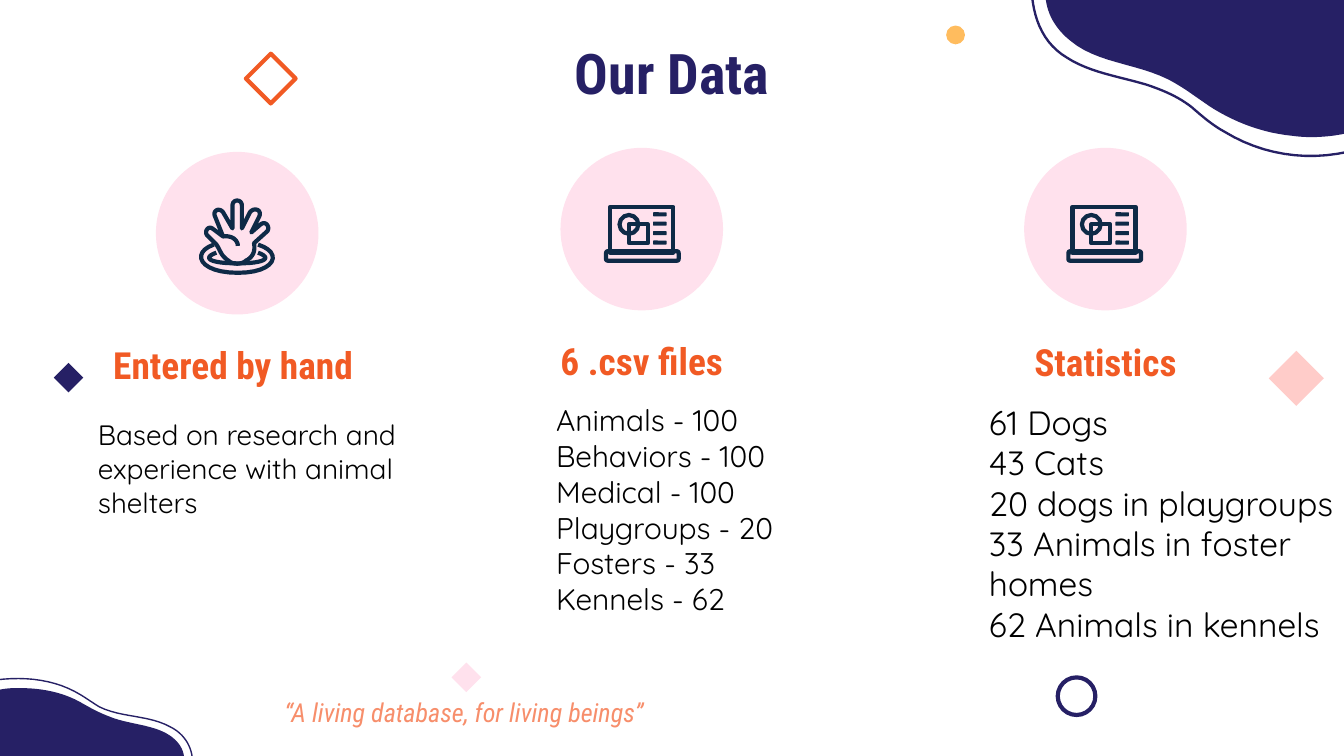
import pptx
import pptx.util
import pptx.dml.color
import pptx.enum.shapes
import pptx.enum.text

Inches = pptx.util.Inches
Pt = pptx.util.Pt
Shape = pptx.enum.shapes.MSO_SHAPE
Align = pptx.enum.text.PP_ALIGN
Anchor = pptx.enum.text.MSO_ANCHOR

HUES = {
    "navy": "262065", "orange": "F15A24", "salmon": "F78E6B", "blush": "FFCCC9",
    "pink": "FFE1ED", "amber": "FFBC5E", "ink": "0E2A47", "black": "000000",
}
HEAD, BODY = "Roboto Condensed", "Quicksand"

deck = pptx.Presentation()
deck.slide_width = Inches(10)
deck.slide_height = Inches(10) * 9 // 16
slide = deck.slides.add_slide(deck.slide_layouts[6])
shapes = slide.shapes


def draw(kind, box, fill=None, line=None, width=2.25):
    """Add a preset shape, or a freeform if kind is None.

    A freeform's box lists its points: pairs are corners, sixes are Bezier curves.
    """
    if kind is None:
        dots = [box[0]]
        for step in box[1:]:
            if len(step) == 2:
                dots.append(step)
                continue
            (a, b), (c, d, e, f, g, h) = dots[-1], step
            for i in range(1, 13):
                t = i / 12
                u = 1 - t
                dots.append(tuple(
                    u**3 * p + 3 * u * u * t * q + 3 * u * t * t * r + t**3 * s
                    for p, q, r, s in ((a, c, e, g), (b, d, f, h))))
        dots = [(Inches(x), Inches(y)) for x, y in dots]
        pen = shapes.build_freeform(*dots[0])
        pen.add_line_segments(dots[1:], close=fill is not None)
        form = pen.convert_to_shape()
    else:
        form = shapes.add_shape(kind, *map(Inches, box))
    form.shadow.inherit = False
    if fill:
        form.fill.solid()
        form.fill.fore_color.rgb = pptx.dml.color.RGBColor.from_string(HUES[fill])
    else:
        form.fill.background()
    if line:
        form.line.color.rgb = pptx.dml.color.RGBColor.from_string(HUES[line])
        form.line.width = Pt(width)
    else:
        form.line.fill.background()


def write(text, box, size, hue, face=HEAD, align=Align.CENTER,
          anchor=Anchor.MIDDLE, bold=False, italic=False):
    frame = shapes.add_textbox(*map(Inches, box)).text_frame
    frame.word_wrap = True
    frame.vertical_anchor = anchor
    frame.margin_left = frame.margin_right = Inches(0.1)
    frame.margin_top = frame.margin_bottom = Inches(0.1)
    frame.text = text
    for para in frame.paragraphs:
        para.alignment = align
        for run in para.runs:
            font = run.font
            font.name, font.size = face, Pt(size)
            font.bold, font.italic = bold, italic
            font.color.rgb = pptx.dml.color.RGBColor.from_string(HUES[hue])


# Scattered ornaments
draw(Shape.DIAMOND, (9.44, 2.61, 0.41, 0.41), "blush")
draw(Shape.OVAL, (7.87, 5.04, 0.28, 0.28), line="navy")
draw(Shape.DIAMOND, (3.36, 4.93, 0.22, 0.22), "pink")
draw(Shape.OVAL, (7.04, 0.19, 0.14, 0.14), "amber")
draw(Shape.DIAMOND, (0.4, 2.7, 0.22, 0.22), "navy")
draw(Shape.DIAMOND, (1.83, 0.4, 0.37, 0.37), line="orange")

# Corner waves, each with a thin contour
draw(None, [
    (-0.03, 5.63), (-0.03, 5.14), (0.03, 5.12, 0.09, 5.12, 0.15, 5.12),
    (0.31, 5.12, 0.46, 5.15, 0.59, 5.22), (0.66, 5.26, 0.73, 5.3, 0.81, 5.33),
    (0.95, 5.39, 1.14, 5.39, 1.26, 5.47), (1.32, 5.51, 1.36, 5.56, 1.37, 5.63),
], "navy")
draw(None, [
    (-0.03, 5.06), (0.2, 5.03, 0.42, 5.06, 0.6, 5.17),
    (0.65, 5.2, 0.69, 5.23, 0.74, 5.26), (0.9, 5.34, 1.11, 5.32, 1.27, 5.41),
    (1.37, 5.46, 1.42, 5.55, 1.43, 5.63),
], line="navy", width=0.75)
draw(None, [
    (10.03, -0.02), (10.03, 0.99), (9.89, 1.02, 9.75, 1.03, 9.61, 1.01),
    (9.41, 0.99, 9.21, 0.92, 9.03, 0.81), (8.92, 0.74, 8.81, 0.65, 8.69, 0.59),
    (8.45, 0.47, 8.16, 0.47, 7.96, 0.3), (7.85, 0.21, 7.79, 0.1, 7.78, -0.02),
], "navy")
draw(None, [
    (7.68, -0.02), (7.7, 0.16, 7.77, 0.33, 7.94, 0.43),
    (8.11, 0.54, 8.33, 0.57, 8.53, 0.63), (8.65, 0.67, 8.77, 0.72, 8.87, 0.8),
    (8.95, 0.87, 9.02, 0.93, 9.11, 0.98), (9.39, 1.15, 9.71, 1.2, 10.03, 1.13),
], line="navy", width=1.25)

write("Our Data", (0.78, 0.31, 8.44, 0.45), 30, "navy", bold=True)

# Columns: heading, heading left and top, disc left and top,
# body, body box, body size
columns = [
    ("Entered by hand", 0.14, 2.38, 1.16, 1.13,
     "Based on research and experience with animal shelters",
     (0.63, 3.01, 2.55, 0.96), 15),
    ("6 .csv files", 3.18, 2.35, 4.17, 1.1,
     "Animals - 100\nBehaviors - 100\nMedical - 100\n"
     "Playgroups - 20\nFosters - 33\nKennels - 62",
     (4.04, 2.89, 3.1, 1.82), 16),
    ("Statistics", 6.63, 2.36, 7.62, 1.1,
     "61 Dogs\n43 Cats\n20 dogs in playgroups\n"
     "33 Animals in foster homes\n62 Animals in kennels",
     (7.26, 2.89, 3.02, 2.26), 18),
]
for head, left, top, x, y, body, box, size in columns:
    write(head, (left, top, 3.19, 0.66), 20, "orange", bold=True)
    draw(Shape.OVAL, (x, y, 1.21, 1.21), "pink")
    write(body, box, size, "black", BODY, Align.LEFT, Anchor.TOP)

# Hand in a dish
draw(None, [
    (1.77, 1.83), (1.77, 1.79, 1.73, 1.75, 1.66, 1.76), (1.58, 1.7),
    (1.55, 1.68, 1.52, 1.72, 1.54, 1.75), (1.61, 1.82),
    (1.64, 1.86, 1.64, 1.9, 1.7, 1.94), (1.73, 1.97, 1.8, 1.97, 1.83, 1.94),
    (1.89, 1.91, 1.9, 1.86, 1.89, 1.81), (1.99, 1.72),
    (2.01, 1.69, 1.98, 1.64, 1.94, 1.67), (1.87, 1.73), (1.93, 1.61),
    (1.95, 1.56, 1.89, 1.54, 1.86, 1.58), (1.8, 1.7), (1.8, 1.53),
    (1.8, 1.48, 1.73, 1.48, 1.73, 1.53), (1.73, 1.7), (1.66, 1.58),
    (1.63, 1.54, 1.58, 1.57, 1.6, 1.61), (1.66, 1.76),
], line="ink")
draw(None, [
    (1.59, 1.82), (1.42, 1.88, 1.48, 2.03, 1.77, 2.03),
    (2.05, 2.03, 2.11, 1.88, 1.92, 1.82),
], line="ink")
draw(None, [
    (1.61, 1.88), (1.5, 1.92, 1.56, 1.96, 1.77, 1.96),
    (1.97, 1.96, 2.03, 1.92, 1.92, 1.88),
], line="ink")

# Laptops
for x in (4.49, 7.93):
    draw(Shape.RECTANGLE, (x + 0.05, 1.54, 0.47, 0.34), line="ink")
    draw(Shape.ROUNDED_RECTANGLE, (x + 0.02, 1.87, 0.54, 0.07), line="ink")
    draw(Shape.OVAL, (x + 0.12, 1.6, 0.14, 0.14), line="ink")
    draw(Shape.RECTANGLE, (x + 0.19, 1.67, 0.14, 0.14), line="ink")
    for row in range(4):
        draw(Shape.ROUNDED_RECTANGLE,
             (x + 0.37, 1.58 + 0.07 * row, 0.1, 0.03), "ink")

write("“A living database, for living beings”", (1.47, 5.08, 3.97, 0.44),
      14, "salmon", anchor=Anchor.TOP, italic=True)

deck.save("out.pptx")
